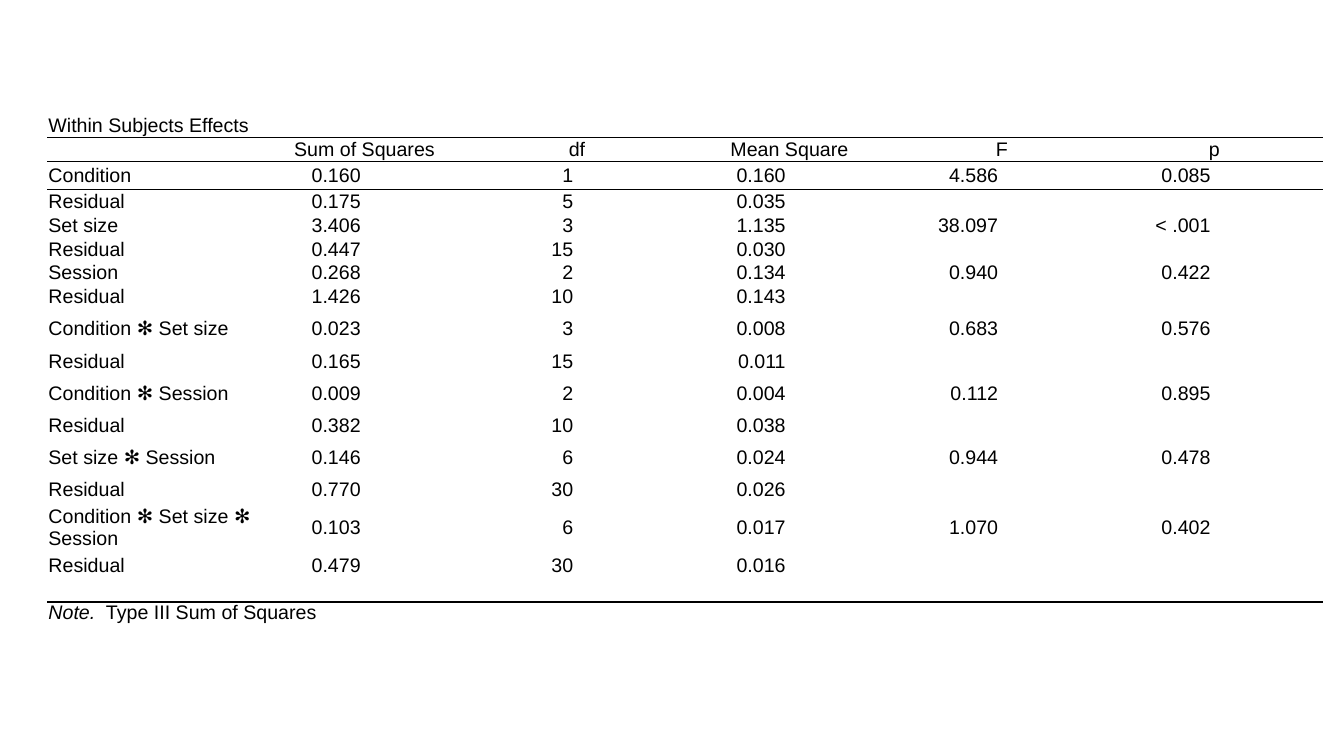
from lxml import etree
from pptx import Presentation
from pptx.dml.color import RGBColor
from pptx.enum.text import MSO_ANCHOR, PP_ALIGN
from pptx.oxml.ns import qn
from pptx.util import Pt

LEFT, CENTER, RIGHT = PP_ALIGN.LEFT, PP_ALIGN.CENTER, PP_ALIGN.RIGHT
MIDDLE = MSO_ANCHOR.MIDDLE

BLACK = "000000"
FONT_SIZE = 14
PLAIN_STYLE = "{2D5ABB26-0587-4C30-8999-92F81FD0307C}"
CELL_FORMAT = {
    "margin_left": Pt(0.75),
    "margin_right": Pt(0.75),
    "margin_top": 0,
    "margin_bottom": 0,
    "vertical_anchor": MIDDLE,
}

COLUMN_WIDTHS = [148.3, 3.6] + [75.9] * 10
LINE_HEIGHT = 16.3
TALLER_ROWS = {2: 20.2, 8: 28.8, 10: 28.8, 12: 28.8, 14: 37.4}
RULES_BELOW = {0: 0.75, 1: 0.75, 16: 1.5}

TITLE = "Within Subjects Effects"
HEADINGS = ["Sum of Squares", "df", "Mean Square", "F", "p"]
EFFECTS = [
    ("Condition", ["0.160", "1", "0.160", "4.586", "0.085"], ["0.175", "5", "0.035"]),
    ("Set size", ["3.406", "3", "1.135", "38.097", "< .001"], ["0.447", "15", "0.030"]),
    ("Session", ["0.268", "2", "0.134", "0.940", "0.422"], ["1.426", "10", "0.143"]),
    ("Condition ✻ Set size", ["0.023", "3", "0.008", "0.683", "0.576"], ["0.165", "15", "0.011"]),
    ("Condition ✻ Session", ["0.009", "2", "0.004", "0.112", "0.895"], ["0.382", "10", "0.038"]),
    ("Set size ✻ Session", ["0.146", "6", "0.024", "0.944", "0.478"], ["0.770", "30", "0.026"]),
    ("Condition ✻ Set size ✻ Session", ["0.103", "6", "0.017", "1.070", "0.402"], ["0.479", "30", "0.016"]),
]
NOTE = [("Note. ", True), (" Type III Sum of Squares", False)]


def color(hex_value):
    return RGBColor.from_string(hex_value)


def apply_format(target, values):
    for name, value in values.items():
        setattr(target, name, value)


def add_border(cell, side, width):
    properties = cell._tc.get_or_add_tcPr()
    border = etree.SubElement(properties, qn(f"a:{side}"), w=str(Pt(width)))
    fill = etree.SubElement(border, qn("a:solidFill"))
    etree.SubElement(fill, qn("a:srgbClr"), val=BLACK)


def prepare_cell(cell, row):
    apply_format(cell, CELL_FORMAT)
    for side, rule in (("lnT", row - 1), ("lnB", row)):
        if rule in RULES_BELOW:
            add_border(cell, side, RULES_BELOW[rule])
    cell.fill.background()
    paragraph = cell.text_frame.paragraphs[0]
    etree.SubElement(paragraph._p, qn("a:endParaRPr"), sz=str(FONT_SIZE * 100))


def write(cell, pieces, alignment=LEFT):
    paragraph = cell.text_frame.paragraphs[0]
    paragraph.alignment = alignment
    for text, italic in pieces:
        run = paragraph.add_run()
        run.text = text
        apply_format(run.font, {"name": "Arial", "size": Pt(FONT_SIZE), "italic": italic})
        run.font.color.rgb = color(BLACK)


def write_values(table, row, values, alignment):
    for index, value in enumerate(values, 1):
        write(table.cell(row, 2 * index), [(f"{value} ", False)], alignment)


def add_plain_table(slide, row_count):
    frame = slide.shapes.add_table(
        row_count, len(COLUMN_WIDTHS), Pt(33.84), Pt(81.8),
        Pt(sum(COLUMN_WIDTHS)), Pt(LINE_HEIGHT * row_count))
    table = frame.table
    apply_format(table, {"first_row": False, "horz_banding": False})
    for style in frame.element.iter(qn("a:tableStyleId")):
        style.text = PLAIN_STYLE
    for column, width in zip(table.columns, COLUMN_WIDTHS):
        column.width = Pt(width)
    for index, row in enumerate(table.rows):
        row.height = Pt(TALLER_ROWS.get(index, LINE_HEIGHT))
        for cell in row.cells:
            prepare_cell(cell, index)
    return table


def main():
    presentation = Presentation()
    apply_format(presentation, {"slide_width": Pt(960), "slide_height": Pt(540)})
    slide = presentation.slides.add_slide(presentation.slide_layouts[6])

    note_row = 2 * len(EFFECTS) + 3
    last_column = len(COLUMN_WIDTHS) - 1
    anova = add_plain_table(slide, note_row + 1)
    for row in (0, note_row - 1, note_row):
        anova.cell(row, 0).merge(anova.cell(row, last_column))
    for column in range(0, last_column, 2):
        anova.cell(1, column).merge(anova.cell(1, column + 1))

    write(anova.cell(0, 0), [(TITLE, False)])
    write_values(anova, 1, HEADINGS, CENTER)
    for index, (effect, values, residuals) in enumerate(EFFECTS):
        row = 2 + 2 * index
        write(anova.cell(row, 0), [(effect, False)])
        write_values(anova, row, values, RIGHT)
        write(anova.cell(row + 1, 0), [("Residual", False)])
        write_values(anova, row + 1, residuals, RIGHT)
    write(anova.cell(note_row, 0), NOTE)

    presentation.save("out.pptx")


if __name__ == "__main__":
    main()
